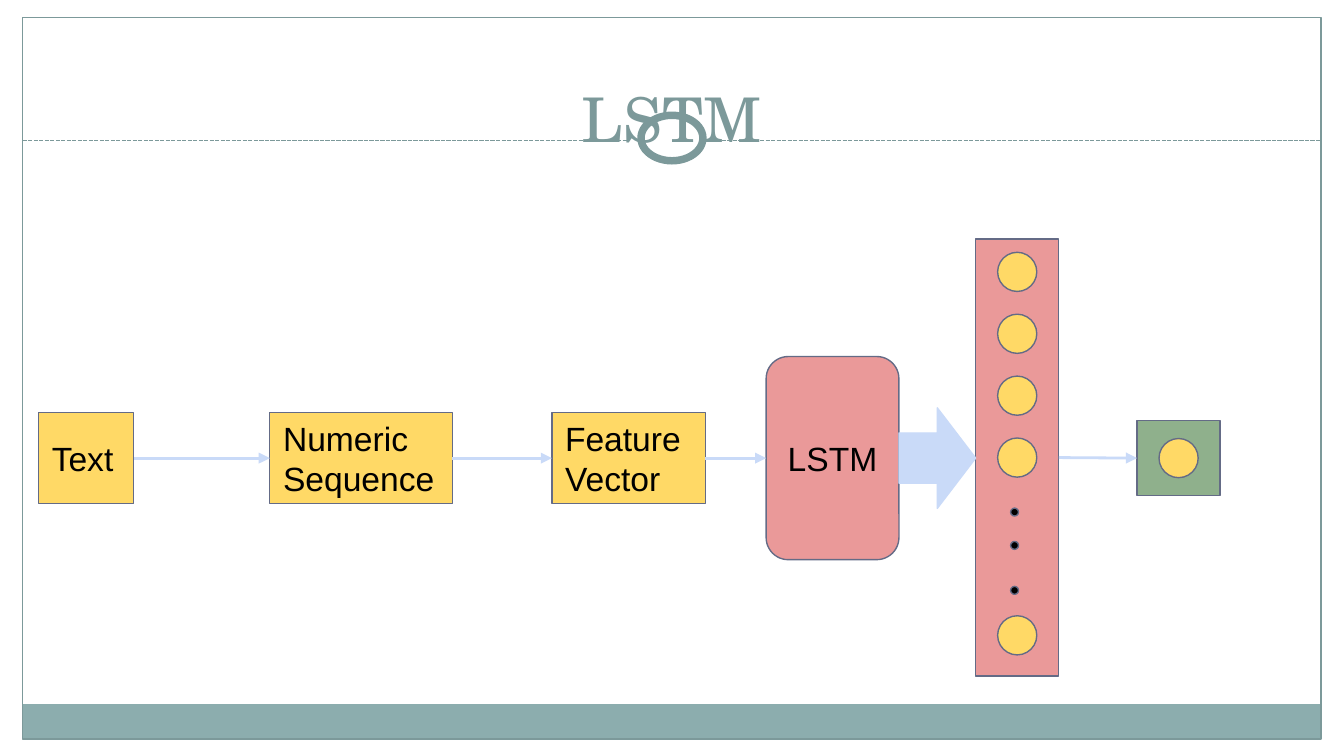
from pptx import Presentation
from pptx.dml.color import RGBColor
from pptx.enum.dml import MSO_LINE
from pptx.enum.shapes import MSO_CONNECTOR, MSO_SHAPE
from pptx.enum.text import MSO_ANCHOR, PP_ALIGN
from pptx.oxml.ns import qn
from pptx.util import Cm, Pt
from lxml.etree import SubElement

WHITE = RGBColor(0xFF, 0xFF, 0xFF)
BLACK = RGBColor(0x00, 0x00, 0x00)
TEAL = RGBColor(0x7C, 0x99, 0x9A)
BAND = RGBColor(0x8C, 0xAD, 0xAE)
YELLOW = RGBColor(0xFF, 0xD9, 0x66)
PINK = RGBColor(0xEA, 0x99, 0x99)
GREEN = RGBColor(0x8F, 0xB0, 0x8C)
BLUE = RGBColor(0xC9, 0xDA, 0xF8)
EDGE = RGBColor(0x64, 0x6B, 0x86)

NODE = 0.74  # diameter of a neuron


def add_shape(slide, kind, box, fill=None, line=EDGE, width=0.75):
    shape = slide.shapes.add_shape(kind, *[Cm(v) for v in box])
    shape.shadow.inherit = False
    if fill is None:
        shape.fill.background()
    else:
        shape.fill.solid()
        shape.fill.fore_color.rgb = fill
    if line is None:
        shape.line.fill.background()
    else:
        shape.line.color.rgb = line
        shape.line.width = Pt(width)
    return shape


def add_disc(slide, x, y, size, fill):
    """Circle centred on x, y."""
    box = (x - size / 2, y - size / 2, size, size)
    return add_shape(slide, MSO_SHAPE.OVAL, box, fill)


def add_line(slide, start, end, color, width):
    line = slide.shapes.add_connector(
        MSO_CONNECTOR.STRAIGHT, *[Cm(v) for v in start + end])
    line.line.color.rgb = color
    line.line.width = Pt(width)
    SubElement(line._element.spPr, qn("a:effectLst"))
    return line


def link(slide, first, last):
    """Arrow from the right side of one shape to the left side of the next."""
    arrow = add_line(slide, (0, 0), (0, 0), BLUE, 1.5)
    arrow.begin_connect(first, 3)
    arrow.end_connect(last, 1)
    SubElement(arrow.line._get_or_add_ln(), qn("a:tailEnd"), type="triangle")


def set_text(shape, text, size, font, color, align, anchor):
    frame = shape.text_frame
    frame.word_wrap = True
    frame.margin_left = frame.margin_right = Cm(0.25)
    frame.margin_top = frame.margin_bottom = Cm(0.25)
    frame.vertical_anchor = anchor
    frame.text = text
    para = frame.paragraphs[0]
    para.alignment = align
    style = para.runs[0].font
    style.size, style.name, style.color.rgb = Pt(size), font, color


def add_frame(slide, box):
    """Page border, footer band, dashed rule and ring."""
    left, top, width, height = box
    foot = 0.66
    add_shape(slide, MSO_SHAPE.RECTANGLE,
              (left, top + height - foot, width, foot), BAND, None)
    add_shape(slide, MSO_SHAPE.RECTANGLE, box, None, TEAL)
    rule = top + 2.33
    dash = add_line(slide, (left, rule), (left + width, rule), TEAL, 0.75)
    dash.line.dash_style = MSO_LINE.SQUARE_DOT
    mid = left + width / 2
    for wide, high, line in ((1.7, 1.27, None), (1.17, 0.86, TEAL)):
        add_shape(slide, MSO_SHAPE.OVAL,
                  (mid - wide / 2, rule - 0.05 - high / 2, wide, high),
                  WHITE, line, 4)


def add_title(slide, box, text):
    title = slide.shapes.add_textbox(*[Cm(v) for v in box])
    set_text(title, text, 33, "TeX Gyre Schola", TEAL,
             PP_ALIGN.CENTER, MSO_ANCHOR.BOTTOM)


def add_step(slide, box, text, kind=MSO_SHAPE.RECTANGLE, fill=YELLOW,
             align=PP_ALIGN.LEFT):
    step = add_shape(slide, kind, box, fill)
    set_text(step, text, 18, "Arial", BLACK, align, MSO_ANCHOR.MIDDLE)
    return step


def add_layer(slide, box):
    """Column of neurons with an ellipsis before the last one."""
    left, top, width, height = box
    layer = add_shape(slide, MSO_SHAPE.RECTANGLE, box, PINK)
    mid = left + width / 2
    for row in range(4):
        add_disc(slide, mid, top + 0.62 + row * 1.17, NODE, YELLOW)
    add_disc(slide, mid, top + height - 0.77, NODE, YELLOW)
    for drop in (5.16, 5.79, 6.64):
        add_disc(slide, mid - 0.05, top + drop, 0.15, BLACK)
    return layer


def add_output(slide, box):
    left, top, width, height = box
    cell = add_shape(slide, MSO_SHAPE.RECTANGLE, box, GREEN)
    add_disc(slide, left + width / 2, top + height / 2, NODE, YELLOW)
    return cell


def add_flow(slide, box):
    """Pipeline from text to output, centred on one axis."""
    left, top, width, height = box
    axis = top + height / 2 + 0.01

    def place(x, wide, high):
        return left + x, axis - high / 2, wide, high

    steps = [add_step(slide, place(x, wide, 1.72), text)
             for x, wide, text in ((0, 1.8, "Text"),
                                   (4.37, 3.45, "Numeric Sequence"),
                                   (9.7, 2.9, "Feature Vector"))]
    steps.append(add_step(slide, place(13.75, 2.51, 3.84), "LSTM",
                          MSO_SHAPE.ROUNDED_RECTANGLE, PINK,
                          PP_ALIGN.CENTER))
    for first, last in zip(steps, steps[1:]):
        link(slide, first, last)
    layer = add_layer(slide, (left + 17.71, top, 1.57, height))
    add_shape(slide, MSO_SHAPE.RIGHT_ARROW, place(16.26, 1.45, 1.9),
              BLUE, BLUE)
    cell = add_output(slide, place(width - 1.57, 1.57, 1.42))
    link(slide, layer, cell)


def main():
    deck = Presentation()
    deck.slide_width, deck.slide_height = Cm(25.4), Cm(14.29)
    slide = deck.slides.add_slide(deck.slide_layouts[6])
    add_frame(slide, (0.43, 0.33, 24.54, 13.64))
    add_title(slide, (1.07, 1.27, 23.24, 1.9), "LSTM")
    add_flow(slide, (0.73, 4.52, 22.33, 8.26))
    deck.save("out.pptx")


if __name__ == "__main__":
    main()
